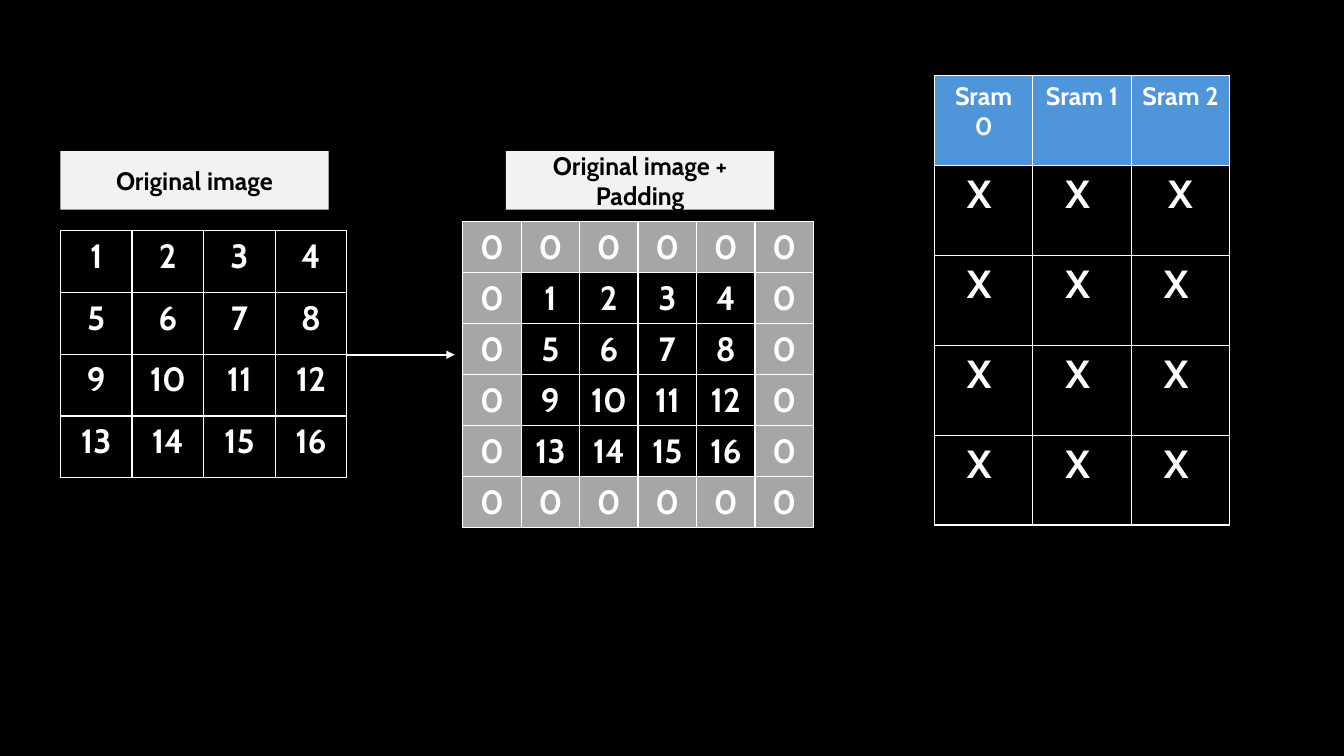
from lxml import etree
from pptx import Presentation
from pptx import util as u
from pptx.dml.color import RGBColor
from pptx.enum import shapes, text
from pptx.oxml import ns

BLACK = RGBColor(0x00, 0x00, 0x00)
WHITE = RGBColor(0xFF, 0xFF, 0xFF)
LABEL_GREY = RGBColor(0xF2, 0xF2, 0xF2)
PADDING_GREY = RGBColor(0xA6, 0xA6, 0xA6)
HEADER_BLUE = RGBColor(0x4E, 0x95, 0xD9)
FONT = "Cabin"
GRID = u.Inches(0.1)
COLUMNS, ROWS = 133.33, 75


def on_grid(*lengths):
    return [round(length * GRID) for length in lengths]


def write(frame, words, size, color):
    para = frame.paragraphs[0]
    para.text = words
    para.alignment = text.PP_ALIGN.CENTER
    para.font.name = FONT
    para.font.size = u.Pt(size)
    para.font.bold = True
    para.font.color.rgb = color


def add_borders(cell):
    properties = cell._tc.get_or_add_tcPr()
    for index, side in enumerate(("lnL", "lnR", "lnT", "lnB")):
        line = etree.Element(ns.qn(f"a:{side}"), w=str(u.Pt(1)))
        fill = etree.SubElement(line, ns.qn("a:solidFill"))
        etree.SubElement(fill, ns.qn("a:srgbClr"), val=str(WHITE))
        properties.insert(index, line)


def add_matrix(page, box, rows, size_of, fill_of):
    left, top, width, height = on_grid(*box)
    table = page.shapes.add_table(
        len(rows), len(rows[0]), left, top, width, height).table
    table.first_row = False
    table.horz_banding = False
    for column in table.columns:
        column.width = width // len(rows[0])
    for row in table.rows:
        row.height = height // len(rows)
    for r, row in enumerate(rows):
        for c, words in enumerate(row):
            cell = table.cell(r, c)
            color = fill_of(r, c)
            if color is None:
                cell.fill.background()
            else:
                cell.fill.solid()
                cell.fill.fore_color.rgb = color
            add_borders(cell)
            write(cell.text_frame, words, size_of(r), WHITE)


def add_label(page, box, words):
    label = page.shapes.add_shape(shapes.MSO_SHAPE.RECTANGLE, *on_grid(*box))
    label.shadow.inherit = False
    label.fill.solid()
    label.fill.fore_color.rgb = LABEL_GREY
    label.line.fill.background()
    label.text_frame.word_wrap = True
    label.text_frame.vertical_anchor = text.MSO_ANCHOR.MIDDLE
    write(label.text_frame, words, 18, BLACK)


def add_arrow(page, start, end, row):
    arrow = page.shapes.add_connector(
        shapes.MSO_CONNECTOR.STRAIGHT, *on_grid(start, row, end, row))
    arrow.line.color.rgb = WHITE
    arrow.line.width = u.Pt(1.5)
    etree.SubElement(arrow.line._get_or_add_ln(), ns.qn("a:tailEnd"), type="triangle")
    etree.SubElement(arrow._element.spPr, ns.qn("a:effectLst"))


def add_image_region(page, box, pixels):
    left, top, width, height = box
    add_matrix(page, (left, top + 7.9, width, height - 7.9), pixels,
               lambda r: 24, lambda r, c: None)
    add_label(page, (left, top, 26.6, 5.8), "Original image")


def add_padded_region(page, box, pixels):
    left, top, width, height = box
    edge = len(pixels) + 1
    zeros = ["0"] * (edge + 1)
    padded = [zeros, *(["0", *row, "0"] for row in pixels), zeros]

    def padding_fill(r, c):
        return PADDING_GREY if r in (0, edge) or c in (0, edge) else None

    add_label(page, (left + 4.3, top, 26.6, 5.8), "Original image + Padding")
    add_matrix(page, (left, top + 7, width, height - 7), padded,
               lambda r: 24, padding_fill)


def add_sram_region(page, box):
    header = [f"Sram {bank}" for bank in range(3)]
    marks = [["X "] * 3 for _ in range(4)]
    marks[0][-1] = "X"
    add_matrix(page, box, [header, *marks],
               lambda r: 28 if r else 18,
               lambda r, c: None if r else HEADER_BLUE)


def main():
    deck = Presentation()
    deck.slide_width, deck.slide_height = on_grid(COLUMNS, ROWS)
    page = deck.slides.add_slide(deck.slide_layouts[6])
    page.background.fill.solid()
    page.background.fill.fore_color.rgb = BLACK

    pixels = [[str(4 * r + c + 1) for c in range(4)] for r in range(4)]
    add_image_region(page, (6, 15, 28.4, 32.4), pixels)
    add_sram_region(page, (92.7, 7.5, 29.3, 44.6))
    add_arrow(page, 34.4, 45.1, 35.2)
    add_padded_region(page, (45.9, 15, 34.8, 37), pixels)
    deck.save("out.pptx")


if __name__ == "__main__":
    main()
